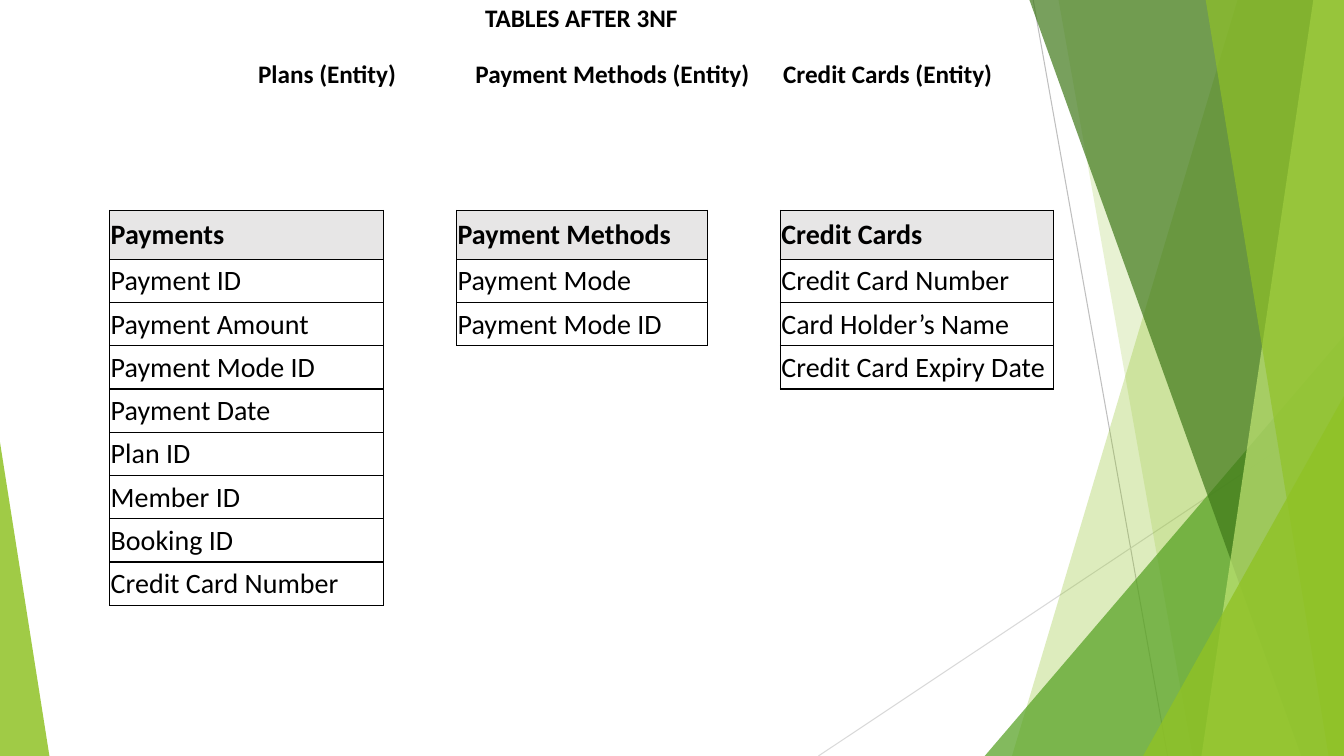
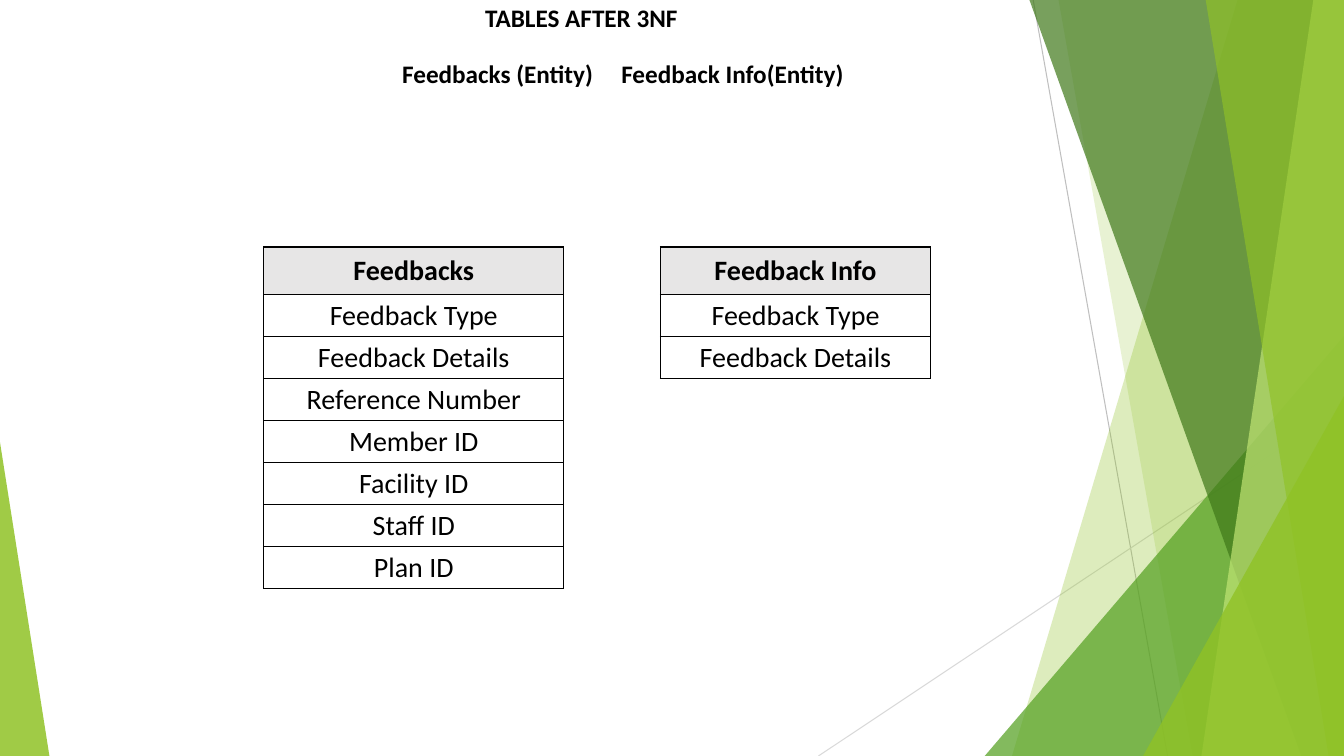
from dataclasses import dataclass
from itertools import accumulate

import lxml.etree
import pptx
import pptx.dml.color
import pptx.dml.fill
import pptx.enum.shapes
import pptx.enum.text
import pptx.oxml.ns
import pptx.presentation
import pptx.slide
import pptx.table
import pptx.text.text
import pptx.util

Pt = pptx.util.Pt
Align = pptx.enum.text.PP_ALIGN
qn = pptx.oxml.ns.qn

WIDTH, HEIGHT = 960, 540
TOP = -0.67
FONT = "Calibri"
BLACK, HEADER_GREY = "000000", "E7E6E6"
GREEN = "90C226"
NO_TABLE_STYLE = "{2D5ABB26-0587-4C30-8999-92F81FD0307C}"
HEADING_TOP = 41.8
HEADING_ROWS = [20.2, 7.2, 7.9]


@dataclass(frozen=True)
class Ray:
    start: tuple[float, float]
    end: tuple[float, float]
    colour: str


@dataclass(frozen=True)
class Band:
    """A green area from a slanted left edge to the right slide edge."""
    top_x: float
    bottom_x: float
    colour: str
    opacity: int


@dataclass(frozen=True)
class Wedge:
    """A right triangle standing on the bottom slide edge."""
    left: float
    top: float
    width: float
    apex: float
    colour: str
    opacity: int


@dataclass(frozen=True)
class Entity:
    heading: str
    heading_width: float
    name: str
    attributes: tuple[str, ...]
    width: float


@dataclass(frozen=True)
class EntitySlide:
    headings_left: float
    headings_width: float
    headings_indent: float
    left: float
    top: float
    gap: float
    header_height: float
    row_height: float
    align: Align
    entities: tuple[Entity, ...]


RAYS = (
    Ray((738, 0), (834, HEIGHT), "BFBFBF"),
    Ray((WIDTH, 290), (584.6, HEIGHT), "D9D9D9"),
)

GREENERY = (
    Band(884.2, 722.9, GREEN, 30),
    Band(756, 851.8, GREEN, 20),
    Wedge(703.4, 240, 256.6, 1, "54A021", 72),
    Band(735.1, 929.5, "3F7819", 70),
    Band(938.2, 858.2, "C0E474", 70),
    Band(861.1, 949, GREEN, 65),
    Wedge(816.5, 283, 143.5, 1, GREEN, 80),
    Wedge(0, 316, 35.3, 0, GREEN, 85),
)

ENTITY_SLIDES = (
    EntitySlide(78.5, 733, 105.9, 78.4, 150.4, 52, 34.7, 30.9, Align.LEFT, (
        Entity("Plans (Entity)", 155.2, "Payments",
               ("Payment ID", "Payment Amount", "Payment Mode ID",
                "Payment Date", "Plan ID", "Member ID", "Booking ID",
                "Credit Card Number"), 195.8),
        Entity("Payment Methods (Entity)", 219.8, "Payment Methods",
               ("Payment Mode", "Payment Mode ID"), 179.3),
        Entity("Credit Cards (Entity)", 170, "Credit Cards",
               ("Credit Card Number", "Card Holder’s Name",
                "Credit Card Expiry Date"), 195),
    )),
    EntitySlide(175, 535.7, 112.3, 188.4, 176.4, 69, 34, 30, Align.CENTER, (
        Entity("Feedbacks (Entity)", 156.5, "Feedbacks",
               ("Feedback Type", "Feedback Details", "Reference Number",
                "Member ID", "Facility ID", "Staff ID", "Plan ID"), 214.4),
        Entity("Feedback Info(Entity)", 175, "Feedback Info",
               ("Feedback Type", "Feedback Details"), 193),
    )),
)


def rgb(colour: str) -> pptx.dml.color.RGBColor:
    return pptx.dml.color.RGBColor.from_string(colour)


def paint(fill: pptx.dml.fill.FillFormat, colour: str) -> None:
    fill.solid()
    fill.fore_color.rgb = rgb(colour)


def write(paragraph: pptx.text.text._Paragraph, text: str, size: float,
          bold: bool, align: Align) -> None:
    paragraph.text = text
    paragraph.alignment = align
    font = paragraph.font
    font.name, font.size, font.bold = FONT, Pt(size), bold
    font.color.rgb = rgb(BLACK)


def draw_ray(slide: pptx.slide.Slide, ray: Ray) -> None:
    line = slide.shapes.add_connector(
        pptx.enum.shapes.MSO_CONNECTOR.STRAIGHT,
        *(Pt(value) for value in ray.start + ray.end))
    line.line.color.rgb = rgb(ray.colour)
    line.line.width = Pt(0.75)
    lxml.etree.SubElement(line.element.spPr, qn("a:effectLst"))


def draw_green(slide: pptx.slide.Slide, part: Band | Wedge) -> None:
    if isinstance(part, Band):
        outline = slide.shapes.build_freeform(Pt(part.top_x), Pt(TOP))
        outline.add_line_segments(
            [(Pt(WIDTH), Pt(TOP)), (Pt(WIDTH), Pt(HEIGHT)),
             (Pt(part.bottom_x), Pt(HEIGHT))], close=True)
        shape = outline.convert_to_shape()
    else:
        shape = slide.shapes.add_shape(
            pptx.enum.shapes.MSO_SHAPE.ISOSCELES_TRIANGLE,
            Pt(part.left), Pt(part.top), Pt(part.width),
            Pt(HEIGHT - part.top))
        shape.adjustments[0] = part.apex
    shape.shadow.inherit = False
    shape.line.fill.background()
    paint(shape.fill, part.colour)
    colour = shape.element.spPr.find(f"{qn('a:solidFill')}/{qn('a:srgbClr')}")
    lxml.etree.SubElement(colour, qn("a:alpha"), val=str(part.opacity * 1000))


def add_plain_table(slide: pptx.slide.Slide, left: float, top: float,
                    widths: list[float],
                    heights: list[float]) -> pptx.table.Table:
    """Add a table without style, fills or borders."""
    frame = slide.shapes.add_table(
        len(heights), len(widths), Pt(left), Pt(top),
        Pt(sum(widths)), Pt(sum(heights)))
    table = frame.table
    table.first_row = table.horz_banding = False
    for style in frame.element.iter(qn("a:tableStyleId")):
        style.text = NO_TABLE_STYLE
    for column, width in zip(table.columns, widths):
        column.width = Pt(width)
    for row, height in zip(table.rows, heights):
        row.height = Pt(height)
    for cell in table.iter_cells():
        cell.margin_left = cell.margin_right = cell.margin_top = Pt(0.7)
        cell.margin_bottom = 0
        cell.vertical_anchor = pptx.enum.text.MSO_ANCHOR.MIDDLE
    return table


def add_borders(cell: pptx.table._Cell) -> None:
    properties = cell._tc.get_or_add_tcPr()
    for side in ("lnL", "lnR", "lnT", "lnB"):
        border = lxml.etree.SubElement(
            properties, qn(f"a:{side}"), w=str(Pt(1)))
        fill = lxml.etree.SubElement(border, qn("a:solidFill"))
        lxml.etree.SubElement(fill, qn("a:srgbClr"), val=BLACK)


def draw_headings(slide: pptx.slide.Slide, content: EntitySlide) -> None:
    """Set all headings in one cell, spaced by tab stops."""
    table = add_plain_table(slide, content.headings_left, HEADING_TOP,
                            [content.headings_width], HEADING_ROWS)
    cell = table.cell(0, 0)
    cell.margin_left = Pt(content.headings_indent)
    paragraph = cell.text_frame.paragraphs[0]
    write(paragraph, "\t".join(entity.heading for entity in content.entities),
          18, True, Align.LEFT)
    stops = lxml.etree.Element(qn("a:tabLst"))
    for stop in accumulate(e.heading_width for e in content.entities[:-1]):
        lxml.etree.SubElement(stops, qn("a:tab"), pos=str(Pt(stop)), algn="l")
    paragraph._p.get_or_add_pPr().insert(0, stops)


def draw_title(slide: pptx.slide.Slide) -> None:
    title = slide.shapes.add_textbox(Pt(175.3), Pt(-3.6), Pt(480), Pt(29.5))
    title.text_frame.word_wrap = True
    paragraph = title.text_frame.paragraphs[0]
    write(paragraph, "TABLES AFTER 3NF", 18, True, Align.CENTER)
    paragraph.line_spacing = 1.07
    paragraph.space_after = Pt(8)


def draw_entities(slide: pptx.slide.Slide, content: EntitySlide) -> None:
    """Put the entities side by side in one table, with empty gap columns."""
    widths = [content.entities[0].width]
    for entity in content.entities[1:]:
        widths += [content.gap, entity.width]
    row_count = max(len(entity.attributes) for entity in content.entities)
    heights = [content.header_height] + [content.row_height] * row_count
    table = add_plain_table(slide, content.left, content.top, widths, heights)
    for index, entity in enumerate(content.entities):
        for row, text in enumerate((entity.name, *entity.attributes)):
            cell = table.cell(row, 2 * index)
            is_header = row == 0
            add_borders(cell)
            if is_header:
                paint(cell.fill, HEADER_GREY)
            write(cell.text_frame.paragraphs[0], text, 20, is_header,
                  content.align)


def add_entity_slide(deck: pptx.presentation.Presentation,
                     content: EntitySlide) -> None:
    slide = deck.slides.add_slide(deck.slide_layouts[6])
    for ray in RAYS:
        draw_ray(slide, ray)
    for part in GREENERY:
        draw_green(slide, part)
    draw_headings(slide, content)
    draw_title(slide)
    draw_entities(slide, content)


def main() -> None:
    deck = pptx.Presentation()
    deck.slide_width, deck.slide_height = Pt(WIDTH), Pt(HEIGHT)
    for content in ENTITY_SLIDES:
        add_entity_slide(deck, content)
    deck.save("out.pptx")


if __name__ == "__main__":
    main()
